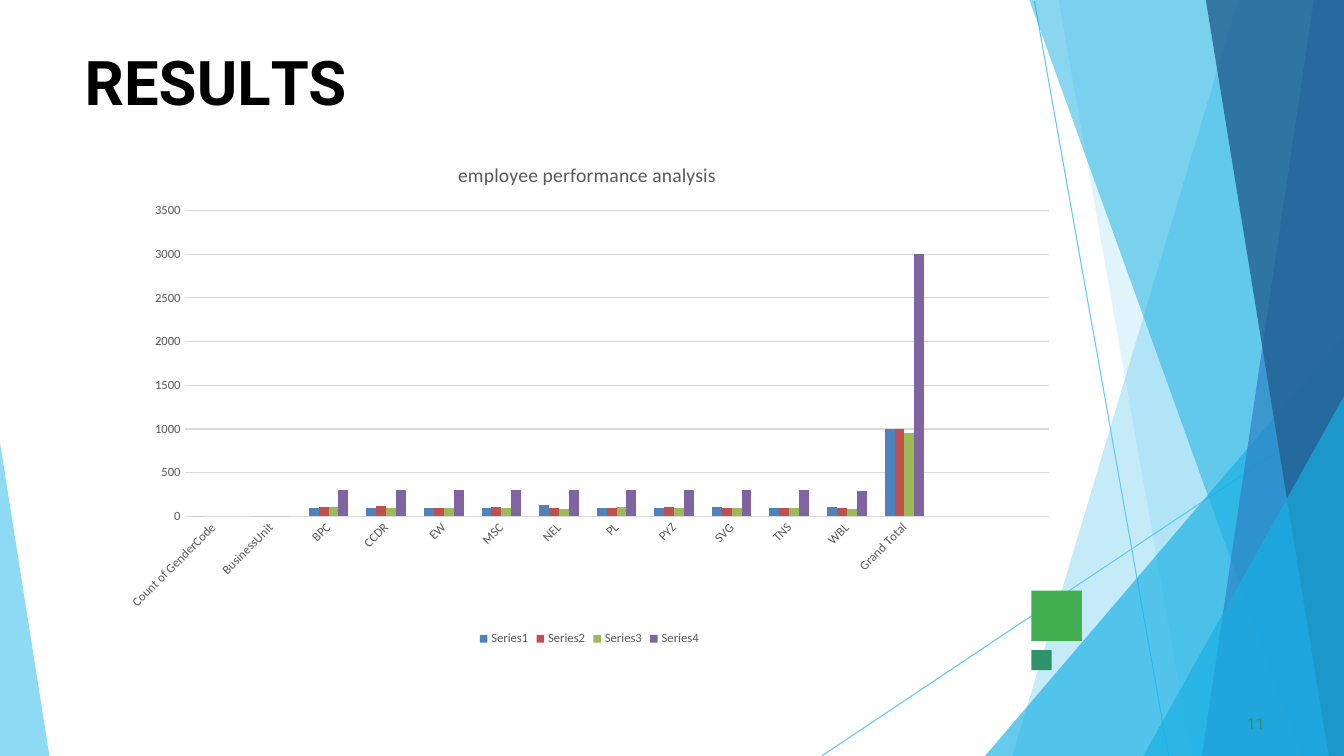
import pptx
import pptx.chart.data
import pptx.dml.color
import pptx.enum.chart
import pptx.enum.shapes
import pptx.enum.text
import pptx.oxml
import pptx.oxml.ns
import pptx.util
from pptx.util import Inches

# Content
COLOURS = {
    "sky": "5FCAEE", "cyan": "17AFE3", "blue": "2D83C3", "navy": "226192",
    "green": "42AF51", "teal": "2D936B", "black": "000000",
    "label": "595959", "grid": "D9D9D9",
}
SLIDE_WIDTH, SLIDE_HEIGHT = 13.33, 7.5

# Text pieces with their letter spacing in points
HEADING = [("R", 0), ("E", -0.4), ("S", 0.1), ("U", -0.3), ("L", -4), ("TS", 0)]
PAGE_NUMBER = [("11", 0.1)]

THIN_LINES = [((10.26, 0.01), (11.59, 7.5)), ((13.33, 4.04), (8.15, 7.5))]
# Outline, colour, opacity in percent
FACETS = [
    ([(13.33, 0), (12.28, 0), (10.04, 7.5), (13.33, 7.5)], "sky", 36),
    ([(13.33, 0), (10.5, 0), (11.82, 7.5), (13.33, 7.5)], "sky", 20),
    ([(13.33, 3.33), (9.77, 7.5), (13.33, 7.5)], "cyan", 66),
    ([(13.33, 0), (10.21, 0), (12.91, 7.5), (13.33, 7.5)], "cyan", 50),
    ([(13.33, 0), (13.03, 0), (11.92, 7.5), (13.33, 7.5)], "blue", 70),
    ([(13.33, 0), (11.96, 0), (13.18, 7.5), (13.33, 7.5)], "navy", 80),
    ([(13.33, 3.93), (11.34, 7.5), (13.33, 7.5)], "cyan", 66),
    ([(0, 4.39), (0, 7.5), (0.49, 7.5)], "sky", 70),
]
# Left, top, side, colour
SQUARES = [(10.23, 5.86, 0.5, "green"), (10.23, 6.45, 0.2, "teal")]

CHART_TITLE = "employee performance analysis "
UNITS = ["Count of\u00a0GenderCode", "BusinessUnit", "BPC", "CCDR", "EW", "MSC", "NEL",
         "PL", "PYZ", "SVG", "TNS", "WBL", "Grand Total", "", ""]
SERIES = [
    ("Series1", "4F81BD", [0, 0, 90, 100, 100, 100, 130, 90, 100, 110, 100, 110, 1000]),
    ("Series2", "C0504D", [None, 0, 110, 120, 100, 110, 100, 100, 110, 100, 100, 100, 1000]),
    ("Series3", "9BBB59", [None, 0, 110, 90, 100, 90, 80, 110, 100, 100, 100, 80, 950]),
    ("Series4", "8064A2", [None, 0, 300, 300, 300, 300, 300, 300, 300, 300, 300, 290, 3000]),
]
# Plot area as fractions of the chart
PLOT_AREA = {"x": 0.077, "y": 0.135, "w": 0.903, "h": 0.602}


def rgb(colour):
    return pptx.dml.color.RGBColor.from_string(COLOURS.get(colour, colour))


def paint(shape, colour, opacity=100):
    shape.shadow.inherit = False
    shape.line.fill.background()
    shape.fill.solid()
    shape.fill.fore_color.rgb = rgb(colour)
    if opacity < 100:
        tint = shape.fill._xPr.find(".//" + pptx.oxml.ns.qn("a:srgbClr"))
        alpha = pptx.oxml.parse_xml(
            f'<a:alpha {pptx.oxml.ns.nsdecls("a")} val="{opacity * 1000}"/>')
        tint.append(alpha)


def style(font, size, colour, name="Calibri", bold=False):
    font.size, font.name, font.bold = pptx.util.Pt(size), name, bold
    font.color.rgb = rgb(colour)


def add_text(slide, pieces, box, *, size, colour, bold=False, indent=0, before=0):
    frame = slide.shapes.add_textbox(*map(Inches, box)).text_frame
    frame.word_wrap = False
    frame.vertical_anchor = pptx.enum.text.MSO_ANCHOR.TOP
    frame.margin_left = frame.margin_right = frame.margin_bottom = 0
    frame.margin_top = Inches(0.01)
    paragraph = frame.paragraphs[0]
    paragraph.alignment = pptx.enum.text.PP_ALIGN.LEFT
    paragraph.space_before = pptx.util.Pt(before)
    paragraph._p.get_or_add_pPr().set("marL", str(Inches(indent)))
    for words, spacing in pieces:
        run = paragraph.add_run()
        run.text = words
        style(run.font, size, colour, "Roboto", bold)
        run._r.get_or_add_rPr().set("spc", str(round(spacing * 100)))


def add_performance_chart(slide):
    results = pptx.chart.data.CategoryChartData()
    results.categories = UNITS
    for name, _, counts in SERIES:
        results.add_series(name, counts + [None] * (len(UNITS) - len(counts)))
    chart = slide.shapes.add_chart(
        pptx.enum.chart.XL_CHART_TYPE.COLUMN_CLUSTERED,
        Inches(1.1), Inches(1.41), Inches(9.49), Inches(5.04), results).chart
    style(chart.font, 10, "black")

    # Title and legend
    chart.has_title = True
    chart.chart_title.include_in_layout = False
    title = chart.chart_title.text_frame
    title.text = CHART_TITLE
    style(title.paragraphs[0].runs[0].font, 14, "label")
    chart.has_legend = True
    chart.legend.position = pptx.enum.chart.XL_LEGEND_POSITION.BOTTOM
    chart.legend.include_in_layout = False
    style(chart.legend.font, 9, "label")

    # Columns
    plot = chart.plots[0]
    plot.gap_width, plot.overlap, plot.vary_by_categories = 182, 0, False
    for series, (_, colour, _) in zip(plot.series, SERIES):
        series.format.fill.solid()
        series.format.fill.fore_color.rgb = rgb(colour)
        series.invert_if_negative = False

    # Axes
    units, counts = chart.category_axis, chart.value_axis
    for axis in (units, counts):
        axis.major_tick_mark = axis.minor_tick_mark = pptx.enum.chart.XL_TICK_MARK.NONE
        style(axis.tick_labels.font, 9, "label")
    counts.minimum_scale, counts.maximum_scale, counts.major_unit = 0, 3500, 500
    counts.format.line.fill.background()
    counts.has_major_gridlines = True
    for line in (units.format.line, counts.major_gridlines.format.line):
        line.color.rgb = rgb("grid")
        line.width = pptx.util.Pt(0.75)
    label_body = units._element.find(
        pptx.oxml.ns.qn("c:txPr")).find(pptx.oxml.ns.qn("a:bodyPr"))
    label_body.set("rot", str(-45 * 60000))
    label_body.set("vert", "horz")

    # Plot area position
    area = chart._chartSpace.chart.plotArea
    for automatic in area.findall(pptx.oxml.ns.qn("c:layout")):
        area.remove(automatic)
    modes = '<c:layoutTarget val="inner"/><c:xMode val="edge"/><c:yMode val="edge"/>'
    places = "".join(f'<c:{side} val="{part}"/>' for side, part in PLOT_AREA.items())
    area.insert(0, pptx.oxml.parse_xml(
        f'<c:layout {pptx.oxml.ns.nsdecls("c")}><c:manualLayout>{modes}{places}'
        '</c:manualLayout></c:layout>'))


def main():
    deck = pptx.Presentation()
    deck.slide_width, deck.slide_height = Inches(SLIDE_WIDTH), Inches(SLIDE_HEIGHT)
    slide = deck.slides.add_slide(deck.slide_layouts[6])

    # Thin lines
    for start, end in THIN_LINES:
        line = slide.shapes.add_connector(
            pptx.enum.shapes.MSO_CONNECTOR.STRAIGHT, *map(Inches, start + end))
        line.line.color.rgb = rgb("sky")
        line.line.width = pptx.util.Pt(0.75)
        line._element.spPr.append(
            pptx.oxml.parse_xml(f'<a:effectLst {pptx.oxml.ns.nsdecls("a")}/>'))

    # Translucent facets
    for outline, colour, opacity in FACETS:
        first, *others = [(Inches(x), Inches(y)) for x, y in outline]
        facet = slide.shapes.build_freeform(*first)
        facet.add_line_segments(others, close=True)
        paint(facet.convert_to_shape(), colour, opacity)

    # Green squares
    for left, top, side, colour in SQUARES:
        square = slide.shapes.add_shape(
            pptx.enum.shapes.MSO_SHAPE.RECTANGLE, *map(Inches, (left, top, side, side)))
        paint(square, colour)

    # Heading, page number and chart
    add_text(slide, HEADING, (0.83, 0.43, 2.67, 1.56),
             size=44, colour="black", bold=True, indent=0.01, before=1.1)
    add_text(slide, PAGE_NUMBER, (12.33, 7.07, 0.25, 0.21),
             size=11, colour="teal", indent=0.04, before=0.6)
    add_performance_chart(slide)
    deck.save("out.pptx")


if __name__ == "__main__":
    main()
